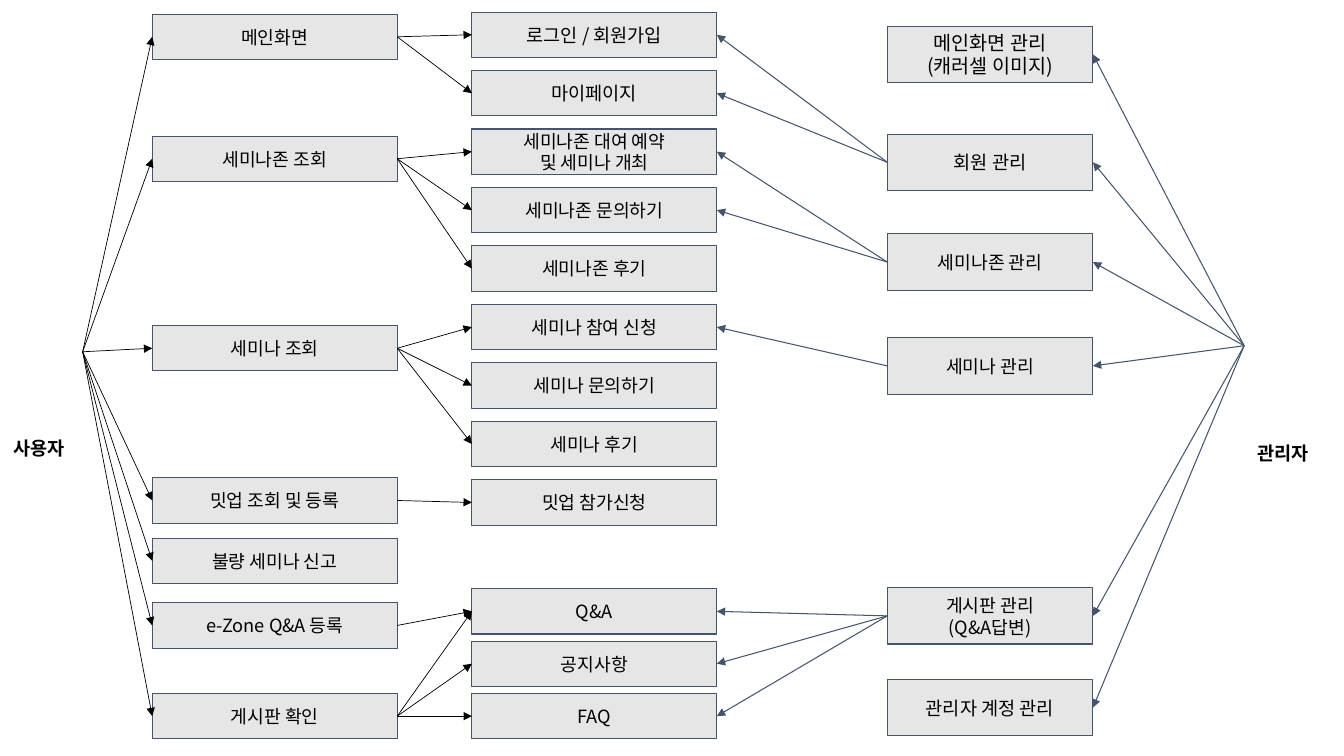
from lxml import etree
from pptx import Presentation
from pptx.dml.color import RGBColor
from pptx.enum.shapes import MSO_CONNECTOR, MSO_SHAPE
from pptx.enum.text import MSO_ANCHOR, PP_ALIGN
from pptx.oxml.ns import qn
from pptx.util import Inches, Pt

RECTANGLE, STRAIGHT = MSO_SHAPE.RECTANGLE, MSO_CONNECTOR.STRAIGHT
LEFT, CENTER = PP_ALIGN.LEFT, PP_ALIGN.CENTER
TOP, MIDDLE = MSO_ANCHOR.TOP, MSO_ANCHOR.MIDDLE
LEFT_SIDE, RIGHT_SIDE = 1, 3

FONT = "Noto Sans CJK KR"
BLACK, SLATE, GRAY = "000000", "44546A", "E7E6E6"
SLIDE_WIDTH, SLIDE_HEIGHT = 13.33, 7.5
USER_HUB, ADMIN_HUB = (0.82, 3.49), (12.34, 3.43)
FEATURE_TOP, FEATURE_PITCH = 0.12, 0.58
BOARD_TOP, BOARD_PITCH = 5.84, 0.52

ACTORS = [
    ("사용자", (0, 4.22, 0.9, 0.44), LEFT),
    ("관리자", (12, 4.27, 1.46, 0.36), CENTER),
]
MENUS = [
    ("메인화면", 0.14, ["로그인 / 회원가입", "마이페이지"]),
    ("세미나존 조회", 1.35,
     ["세미나존 대여 예약\n및 세미나 개최", "세미나존 문의하기", "세미나존 후기"]),
    ("세미나 조회", 3.23, ["세미나 참여 신청", "세미나 문의하기", "세미나 후기"]),
    ("밋업 조회 및 등록", 4.74, ["밋업 참가신청"]),
    ("불량 세미나 신고", 5.34, []),
    ("e-Zone Q&A 등록", 5.98, ["Q&A"]),
    ("게시판 확인", 6.88, ["Q&A", "공지사항", "FAQ"]),
]
ADMIN_MENUS = [
    ("메인화면 관리\n(캐러셀 이미지)", 0.26, 14, []),
    ("회원 관리", 1.33, 13.3, ["로그인 / 회원가입", "마이페이지"]),
    ("세미나존 관리", 2.32, 13,
     ["세미나존 대여 예약\n및 세미나 개최", "세미나존 문의하기"]),
    ("세미나 관리", 3.35, 13, ["세미나 참여 신청"]),
    ("게시판 관리\n(Q&A답변)", 5.83, 13, ["Q&A", "공지사항", "FAQ"]),
    ("관리자 계정 관리", 6.74, 13.3, []),
]
FEATURES = [
    ("로그인 / 회원가입", 13.3), ("마이페이지", 13.3),
    ("세미나존 대여 예약\n및 세미나 개최", 13), ("세미나존 문의하기", 13), ("세미나존 후기", 13),
    ("세미나 참여 신청", 13), ("세미나 문의하기", 13), ("세미나 후기", 13), ("밋업 참가신청", 13),
]
BOARDS = ["Q&A", "공지사항", "FAQ"]


def color(hex_text):
    return RGBColor.from_string(hex_text)


def write(shape, text, size=13, bold=False, align=CENTER, anchor=MIDDLE):
    frame = shape.text_frame
    frame.word_wrap = True
    frame.vertical_anchor = anchor
    frame.margin_left = frame.margin_right = Inches(0.13)
    frame.margin_top = frame.margin_bottom = Inches(0.13)
    for index, line in enumerate(text.split("\n")):
        para = frame.add_paragraph() if index else frame.paragraphs[0]
        para.alignment = align
        span = para.add_run()
        span.text = line
        span.font.size = Pt(size)
        span.font.bold = bold
        span.font.color.rgb = color(BLACK)
        span.font.name = FONT
        latin = span.font._element.find(qn("a:latin"))
        east_asian = etree.Element(qn("a:ea"), typeface=FONT)
        latin.addnext(east_asian)


def add_box(page, text, left, top, width=2.43, height=0.45, size=13):
    box = page.shapes.add_shape(
        RECTANGLE, Inches(left), Inches(top), Inches(width), Inches(height))
    box.shadow.inherit = False
    box.fill.solid()
    box.fill.fore_color.rgb = color(GRAY)
    box.line.color.rgb = color(SLATE)
    box.line.width = Pt(0.75)
    write(box, text, size=size)
    return box


def add_arrow(page, target, target_side, source=None, source_side=None,
              hub=(0, 0), line_color=BLACK, width=0.5):
    x, y = Inches(hub[0]), Inches(hub[1])
    arrow = page.shapes.add_connector(STRAIGHT, x, y, x, y)
    if source is not None:
        arrow.begin_connect(source, source_side)
    arrow.end_connect(target, target_side)
    arrow.line.color.rgb = color(line_color)
    arrow.line.width = Pt(width)
    properties = arrow._element.spPr
    outline = properties.find(qn("a:ln"))
    etree.SubElement(outline, qn("a:tailEnd"), type="triangle")
    etree.SubElement(properties, qn("a:effectLst"))


def main():
    deck = Presentation()
    deck.slide_width, deck.slide_height = Inches(SLIDE_WIDTH), Inches(SLIDE_HEIGHT)
    page = deck.slides.add_slide(deck.slide_layouts[6])

    for name, area, align in ACTORS:
        label = page.shapes.add_textbox(*[Inches(length) for length in area])
        write(label, name, size=13.3, bold=True, align=align, anchor=TOP)

    features = {}
    for row, (name, size) in enumerate(FEATURES):
        top = FEATURE_TOP + row * FEATURE_PITCH
        features[name] = add_box(page, name, 4.68, top, size=size)
    for row, name in enumerate(BOARDS):
        features[name] = add_box(page, name, 4.68, BOARD_TOP + row * BOARD_PITCH)

    for name, top, targets in MENUS:
        menu = add_box(page, name, 1.51, top)
        add_arrow(page, menu, LEFT_SIDE, hub=USER_HUB)
        for target in targets:
            add_arrow(page, features[target], LEFT_SIDE, menu, RIGHT_SIDE)

    slate_line = {"line_color": SLATE, "width": 0.75}
    for name, top, size, targets in ADMIN_MENUS:
        menu = add_box(page, name, 8.8, top, width=2.04, height=0.56, size=size)
        add_arrow(page, menu, RIGHT_SIDE, hub=ADMIN_HUB, **slate_line)
        for target in targets:
            add_arrow(page, features[target], RIGHT_SIDE, menu, LEFT_SIDE, **slate_line)

    deck.save("out.pptx")


if __name__ == "__main__":
    main()
